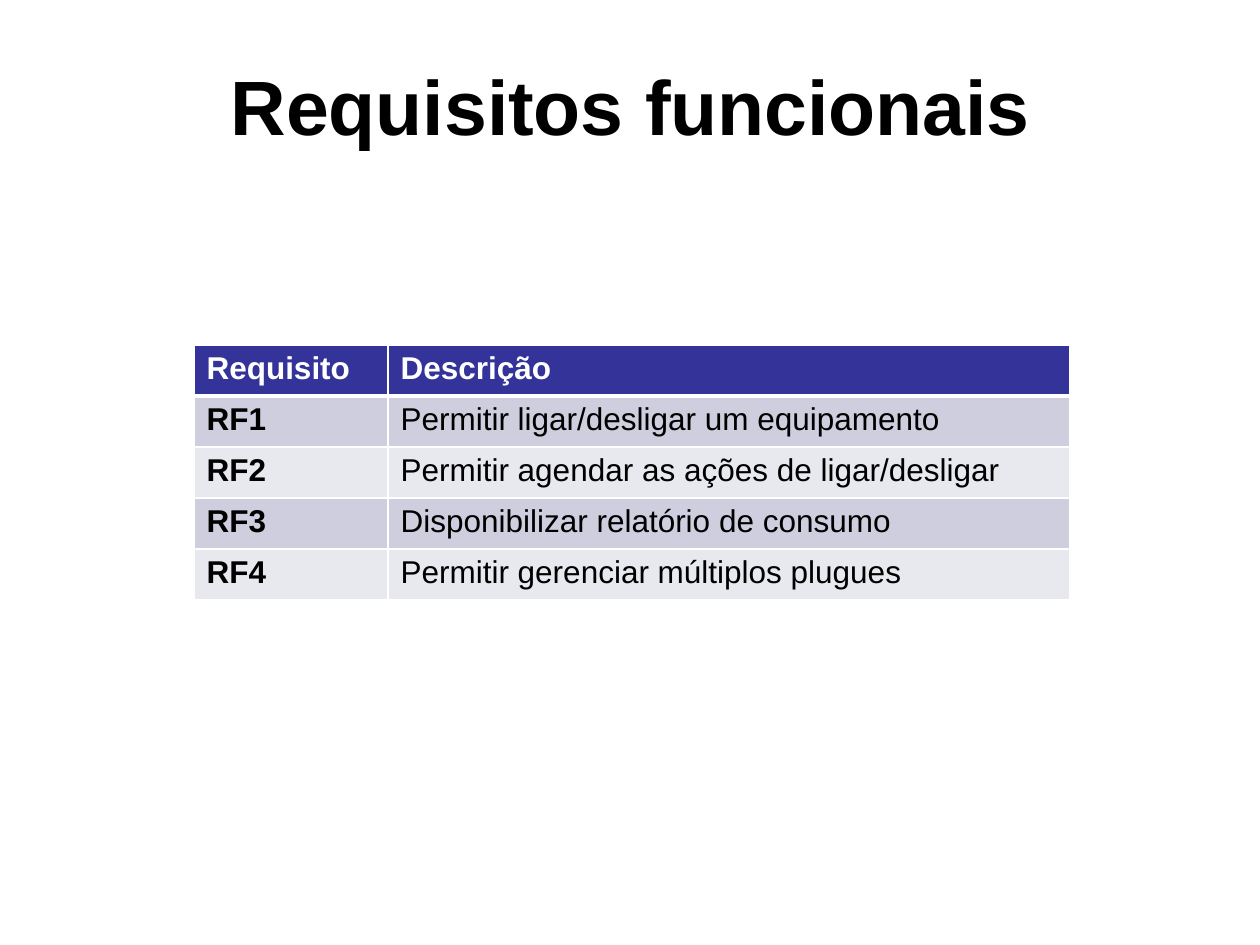
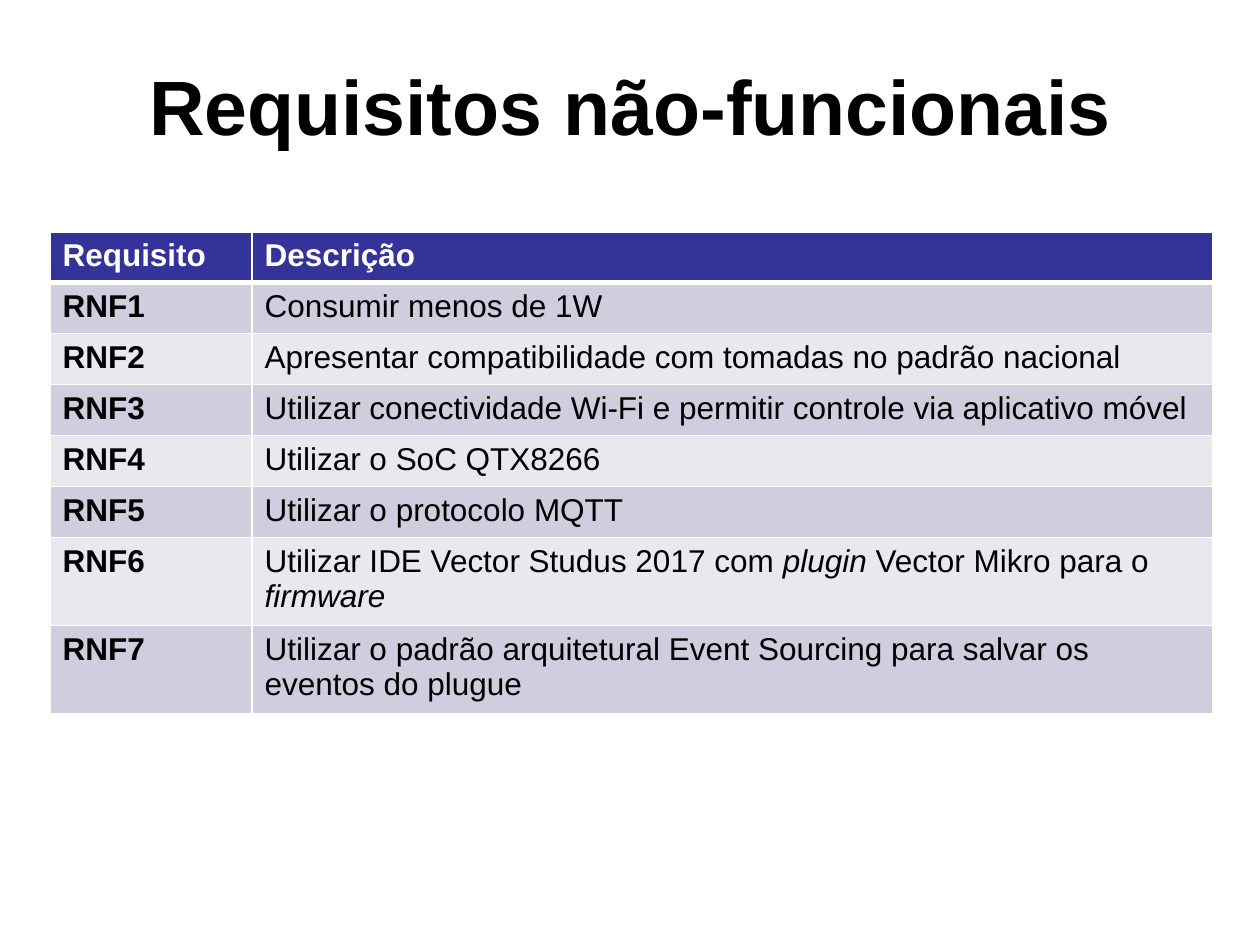
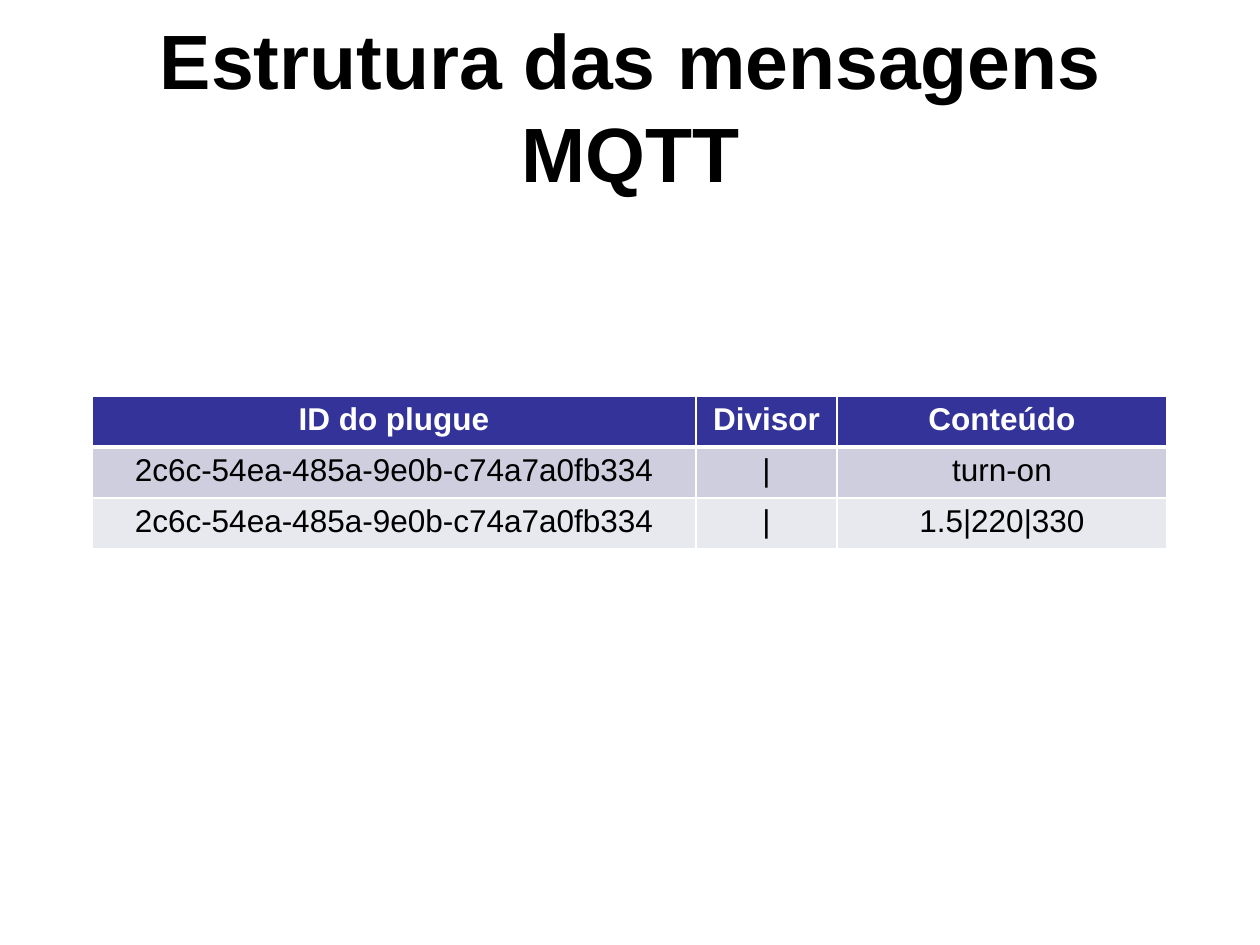
from lxml.etree import SubElement as Sub
from pptx import Presentation as Deck
from pptx.dml.color import RGBColor as Rgb
from pptx.enum.text import MSO_ANCHOR as Anchor, PP_ALIGN as Align
from pptx.oxml.ns import qn
from pptx.util import Pt

WHITE = Rgb(0xFF, 0xFF, 0xFF)
BLACK = Rgb(0, 0, 0)
NAVY = Rgb(0x33, 0x33, 0x99)
LILAC = Rgb(0xCE, 0xCE, 0xDE)
PALE = Rgb(0xE8, 0xE8, 0xEF)
FONT = "Arial"
ROW = 51


def px(size):
    return round(size * 914400 / 126)


def write(frame, text, size=18, color=BLACK, bold=False, align=Align.LEFT):
    para = frame.paragraphs[0]
    para.alignment = align
    for spot, part in enumerate(text.split("*")):
        if part:
            run = para.add_run()
            run.text = part
            font = run.font
            font.name, font.size, font.bold = FONT, Pt(size), bold
            font.italic = spot % 2 == 1
            font.color.rgb = color


def rule(cell, **widths):
    props = cell._tc.get_or_add_tcPr()
    for side in "LRTB":
        width = Pt(widths.get(side, 1))
        line = Sub(props, qn(f"a:ln{side}"), w=str(width))
        fill = Sub(line, qn("a:solidFill"))
        Sub(fill, qn("a:srgbClr"), val=str(WHITE))


class Page:
    def __init__(self, deck, title):
        self.slide = deck.slides.add_slide(deck.slide_layouts[6])
        self.title(title)

    def title(self, text):
        box = self.slide.shapes.add_textbox(px(64), px(26), px(1134), px(158))
        frame = box.text_frame
        frame.word_wrap = True
        frame.vertical_anchor = Anchor.MIDDLE
        write(frame, text, size=44, bold=True, align=Align.CENTER)

    def table(self, left, top, cols, rows, head=ROW, keys=True, align=Align.LEFT):
        highs = [head] + [ROW] * (len(rows) - 1)
        grid = self.slide.shapes.add_table(
            len(rows), len(cols), px(left), px(top), px(sum(cols)), px(sum(highs))
        ).table
        for col, wide in zip(grid.columns, cols):
            col.width = px(wide)
        for r, (row, high) in enumerate(zip(rows, highs)):
            grid.rows[r].height = px(high)
            for c, text in enumerate(row):
                self.cell(grid.cell(r, c), text, r, keys and c == 0, align)

    def cell(self, cell, text, row, key, align):
        top = row == 0
        rule(cell, T=3 if row == 1 else 1, B=3 if top else 1)
        cell.fill.solid()
        cell.fill.fore_color.rgb = NAVY if top else LILAC if row % 2 else PALE
        write(cell.text_frame, text, color=WHITE if top else BLACK,
              bold=top or key, align=align)


def number(code, notes):
    rows = [(f"{code}{n}", note) for n, note in enumerate(notes, 1)]
    return [("Requisito", "Descrição")] + rows


def main():
    deck = Deck()
    deck.slide_width, deck.slide_height = px(1260), px(945)

    Page(deck, "Requisitos funcionais").table(194, 345, (194, 682), number("RF", [
        "Permitir ligar/desligar um equipamento",
        "Permitir agendar as ações de ligar/desligar",
        "Disponibilizar relatório de consumo",
        "Permitir gerenciar múltiplos plugues",
    ]))

    Page(deck, "Requisitos não-funcionais").table(50, 232, (202, 961), number("RNF", [
        "Consumir menos de 1W",
        "Apresentar compatibilidade com tomadas no padrão nacional",
        "Utilizar conectividade Wi-Fi e permitir controle via aplicativo móvel",
        "Utilizar o SoC QTX8266",
        "Utilizar o protocolo MQTT",
        "Utilizar IDE Vector Studus 2017 com *plugin* Vector Mikro para o *firmware*",
        "Utilizar o padrão arquitetural Event Sourcing para salvar os eventos do plugue",
    ]), head=47)

    plug = "2c6c-54ea-485a-9e0b-c74a7a0fb334"
    Page(deck, "Estrutura das mensagens MQTT").table(92, 396, (604, 141, 330), [
        ("ID do plugue", "Divisor", "Conteúdo"),
        (plug, "|", "turn-on"),
        (plug, "|", "1.5|220|330"),
    ], keys=False, align=Align.CENTER)

    deck.save("out.pptx")


if __name__ == "__main__":
    main()
